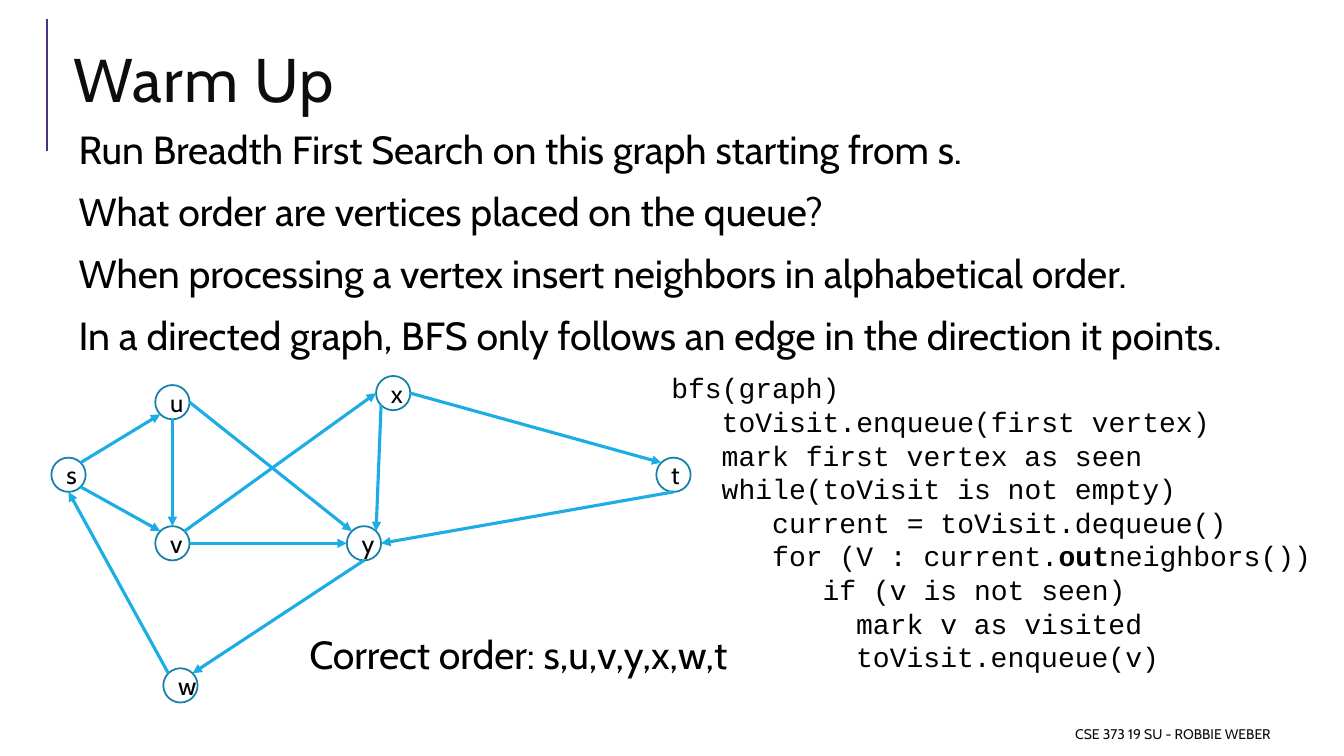
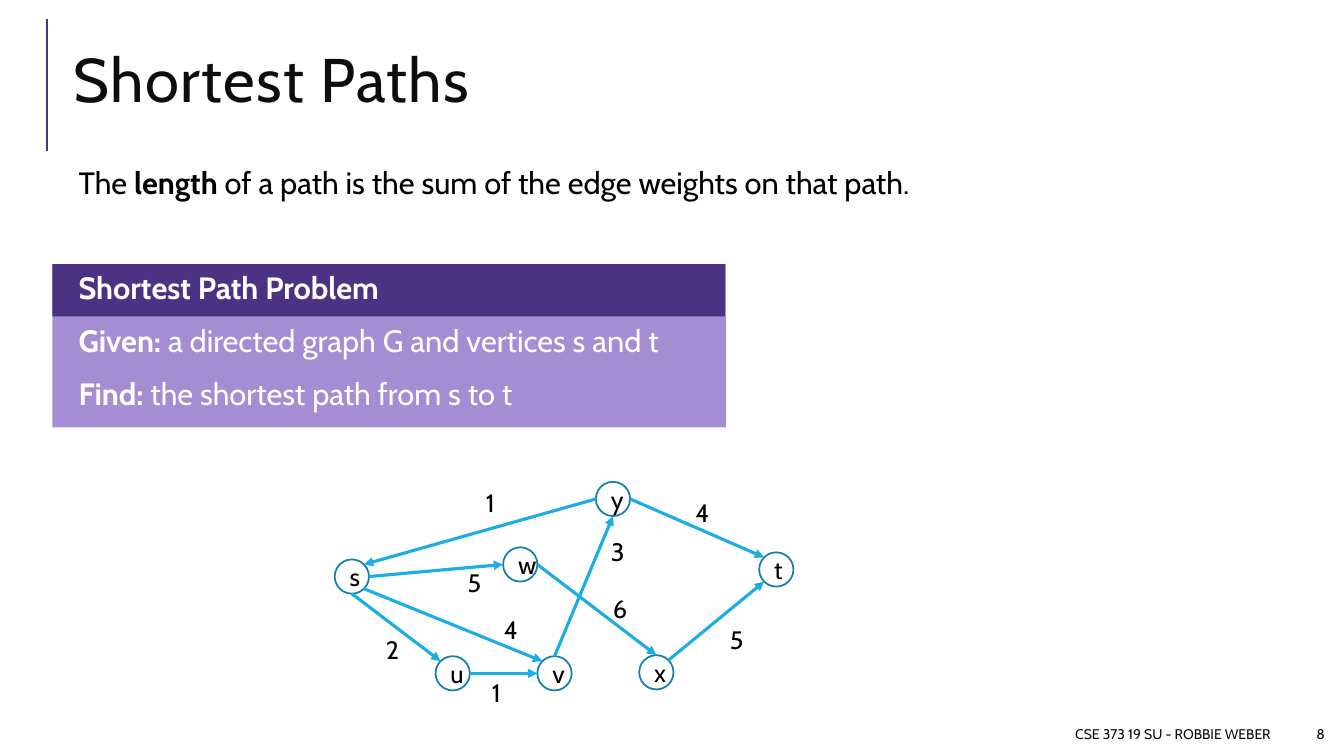
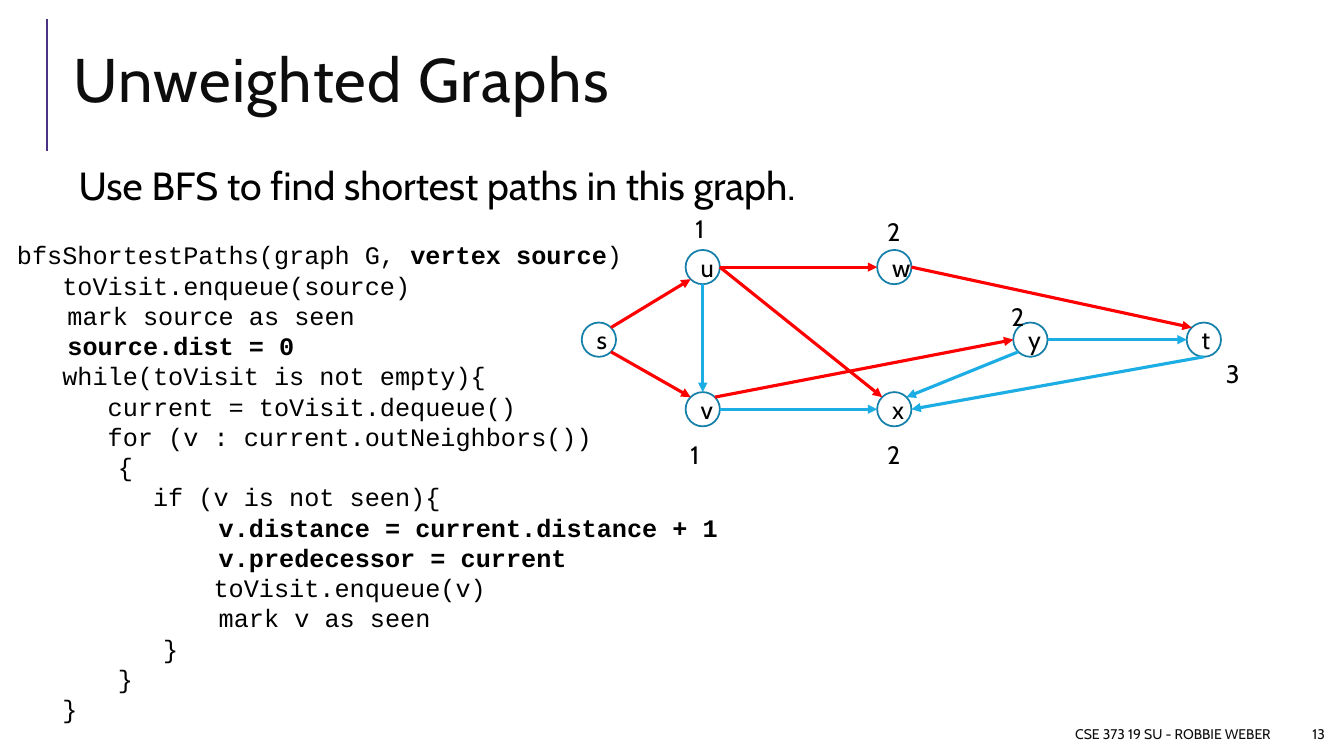
from dataclasses import dataclass
from math import cos, radians, sin

from lxml.etree import SubElement
from pptx import Presentation
from pptx.dml.color import RGBColor
from pptx.enum.shapes import MSO_CONNECTOR, MSO_SHAPE
from pptx.enum.text import MSO_ANCHOR, PP_ALIGN
from pptx.oxml.ns import qn
from pptx.util import Emu, Pt

EMU_PER_PX = 9144  # 100 px to the inch


@dataclass(frozen=True)
class Theme:
    purple: str = "4C3282"
    lilac: str = "A48DD3"
    blue: str = "1CADE4"
    outline: str = "1580A9"
    red: str = "FF0000"
    ink: str = "0D0D0D"
    black: str = "000000"
    white: str = "FFFFFF"
    font: str = "Cabin"
    code_font: str = "Courier New"
    title_size: int = 44
    body_size: int = 28
    small_body_size: int = 22
    label_size: int = 18
    footer_size: int = 10


THEME = Theme()
NODE = 34  # vertex diameter
TAB = 50  # distance between tab stops in code
COMPASS = {name: radians(45 * step) for step, name in
           enumerate(("E", "SE", "S", "SW", "W", "NW", "N", "NE"))}


def px(length):
    return Emu(round(length * EMU_PER_PX))


def color(value):
    return RGBColor.from_string(value)


# Basic parts
def add_runs(paragraph, text, size, ink=THEME.black, font=THEME.font):
    """Add text run by run; parts between double asterisks are bold."""
    runs = []
    for index, part in enumerate(text.split("**")):
        if part:
            run = paragraph.add_run()
            run.text = part
            run.font.name = font
            run.font.size = Pt(size)
            run.font.bold = index % 2 == 1
            run.font.color.rgb = color(ink)
            runs.append(run)
    return runs


def add_text_frame(slide, left, top, width, height, anchor=MSO_ANCHOR.TOP):
    shape = slide.shapes.add_textbox(px(left), px(top), px(width), px(height))
    frame = shape.text_frame
    frame.word_wrap = True
    frame.vertical_anchor = anchor
    return frame


def add_paragraphs(frame, lines):
    """Yield a paragraph for each line, starting with the one already there."""
    for index, line in enumerate(lines):
        yield (frame.add_paragraph() if index else frame.paragraphs[0]), line


def add_panel(slide, left, top, width, height, fill):
    shape = slide.shapes.add_shape(
        MSO_SHAPE.RECTANGLE, px(left), px(top), px(width), px(height))
    shape.shadow.inherit = False
    shape.fill.solid()
    shape.fill.fore_color.rgb = color(fill)
    shape.line.fill.background()


def add_line(slide, start, end, ink, width, arrow=False):
    points = [px(value) for value in (*start, *end)]
    connector = slide.shapes.add_connector(MSO_CONNECTOR.STRAIGHT, *points)
    connector.line.color.rgb = color(ink)
    connector.line.width = Pt(width)
    properties = connector._element.spPr
    if arrow:
        SubElement(properties.find(qn("a:ln")), qn("a:tailEnd"), type="triangle")
    SubElement(properties, qn("a:effectLst"))


# Slide regions
def add_frame(slide, title, number=None):
    """Accent line, title, footer and page number."""
    add_line(slide, (47, 150), (47, 19), THEME.purple, 1.5)
    paragraph = add_text_frame(
        slide, 63, 29, 1223, 111, MSO_ANCHOR.MIDDLE).paragraphs[0]
    paragraph.line_spacing = 0.8
    for run in add_runs(paragraph, title, THEME.title_size, THEME.ink):
        run.font._element.set("spc", "100")

    footers = [("CSE 373 19 SU - ROBBIE WEBER", 625, 645)]
    if number:
        footers.append((str(number), 1278, 46))
    for text, left, width in footers:
        paragraph = add_text_frame(
            slide, left, 713, width, 30, MSO_ANCHOR.MIDDLE).paragraphs[0]
        paragraph.alignment = PP_ALIGN.RIGHT
        add_runs(paragraph, text, THEME.footer_size, THEME.ink)


def add_body(slide, left, top, width, height, lines,
             size=THEME.body_size, ink=THEME.black):
    frame = add_text_frame(slide, left, top, width, height)
    frame.margin_left = px(15)
    frame.margin_right = frame.margin_top = frame.margin_bottom = px(5)
    for paragraph, line in add_paragraphs(frame, lines):
        paragraph.line_spacing = 0.9
        paragraph.space_before = Pt(12 if line is not lines[0] else 0)
        paragraph.space_after = Pt(2)
        add_runs(paragraph, line, size, ink)


def add_code(slide, left, top, width, height, code, size):
    frame = add_text_frame(slide, left, top, width, height)
    for paragraph, line in add_paragraphs(frame, code):
        tab_stops = SubElement(paragraph._p.get_or_add_pPr(), qn("a:tabLst"))
        for stop in range(1, 5):
            SubElement(tab_stops, qn("a:tab"), pos=str(px(TAB * stop)), algn="l")
        add_runs(paragraph, line, size, font=THEME.code_font)


def add_problem(slide, left, top, width, height, lines):
    """Lilac panel with a purple heading band."""
    add_panel(slide, left, top, width, height, THEME.lilac)
    add_panel(slide, left, top, width - 1, 52, THEME.purple)
    add_body(slide, left + 11, top + 4, width - 11, height - 4, lines,
             THEME.small_body_size, THEME.white)


def add_graph(slide, left, top, vertices, edges, tree_edges=(), labels=()):
    """Draw a directed graph; every place is relative to left and top.

    An edge reads "from side to side", with compass points for the sides.
    """
    for name, (x, y) in vertices.items():
        shape = slide.shapes.add_shape(
            MSO_SHAPE.OVAL, px(left + x), px(top + y), px(NODE), px(NODE))
        shape.shadow.inherit = False
        shape.fill.background()
        shape.line.color.rgb = color(THEME.outline)
        shape.line.width = Pt(1.25)
        shape.text_frame.vertical_anchor = MSO_ANCHOR.MIDDLE
        paragraph = shape.text_frame.paragraphs[0]
        paragraph.alignment = PP_ALIGN.CENTER
        add_runs(paragraph, name, THEME.label_size)

    def rim(name, side):
        x, y = vertices[name]
        radius = NODE / 2
        return (left + x + radius * (1 + cos(COMPASS[side])),
                top + y + radius * (1 + sin(COMPASS[side])))

    for group, ink in ((edges, THEME.blue), (tree_edges, THEME.red)):
        for edge in group:
            source, exit_side, target, entry_side = edge.split()
            add_line(slide, rim(source, exit_side), rim(target, entry_side),
                     ink, 2.25, arrow=True)

    for text, x, y in labels:
        frame = add_text_frame(slide, left + x, top + y, 34, 40)
        add_runs(frame.paragraphs[0], text, THEME.label_size)


# Slides
def build_warm_up(slide):
    add_frame(slide, "Warm Up")
    add_body(slide, 63, 125, 1223, 196, [
        "Run Breadth First Search on this graph starting from s.",
        "What order are vertices placed on the queue?",
        "When processing a vertex insert neighbors in alphabetical order.",
        "In a directed graph, BFS only follows an edge in the direction it points.",
    ])
    add_graph(
        slide, 51, 373,
        {"s": (0, 81), "t": (600, 81), "v": (103, 149), "u": (103, 9),
         "x": (322, 0), "w": (111, 290), "y": (293, 149)},
        ["s NE u SW", "u S v N", "s SE v NW", "u E y NW", "v E y W",
         "v NE x W", "w NW s S", "y S w NE", "x E t NW", "x SW y NE",
         "t S y E"])
    answer = add_text_frame(slide, 297, 620, 484, 57)
    add_runs(answer.paragraphs[0], "Correct order: s,u,v,y,x,w,t", THEME.body_size)
    add_code(slide, 656, 363, 660, 347, [
        "bfs(graph)",
        "   toVisit.enqueue(first vertex)",
        "\tmark first vertex as seen",
        "   while(toVisit is not empty)",
        "      current = toVisit.dequeue()",
        "      for (V : current.**out**neighbors())",
        "         if (v is not seen)",
        "\t\t\t  mark v as visited",
        "\t\t\t  toVisit.enqueue(v)",
    ], 20)


def build_shortest_paths(slide):
    add_frame(slide, "Shortest Paths", 8)
    add_body(slide, 63, 162, 1223, 50, [
        "The **length** of a path is the sum of the edge weights on that path.",
    ], THEME.small_body_size)
    add_problem(slide, 52, 262, 668, 162, [
        "**Shortest Path Problem**",
        "**Given: **a directed graph G and vertices s and t",
        "**Find:** the shortest path from s to t",
    ])
    add_graph(
        slide, 332, 478,
        {"s": (0, 77), "w": (167, 65), "y": (259, 0), "u": (100, 173),
         "t": (421, 70), "v": (201, 173), "x": (302, 172)},
        ["s E w W", "s SE v NW", "s S u NW", "u E v W", "y W s NE",
         "w E x N", "v N y S", "y E t NW", "x NE t SW"],
        labels=[("1", 140, 1), ("4", 348, 10), ("1", 146, 189),
                ("5", 122, 80), ("4", 158, 127), ("2", 41, 146),
                ("5", 382, 136), ("6", 266, 106), ("3", 264, 49)])


def build_unweighted_graphs(slide):
    add_frame(slide, "Unweighted Graphs", 13)
    add_body(slide, 63, 160, 1223, 61,
             ["Use BFS to find shortest paths in this graph."])
    add_graph(
        slide, 577, 207,
        {"s": (0, 113), "t": (600, 113), "v": (103, 182), "u": (103, 41),
         "y": (428, 113), "w": (293, 41), "x": (293, 182)},
        ["u S v N", "v E x W", "y E t W", "y SW x NE", "t S x E"],
        ["s NE u SW", "s SE v NW", "u E x NW", "v NE y W", "u E w W",
         "w E t NW"],
        [("1", 103, 0), ("1", 98, 224), ("2", 293, 3), ("2", 293, 224),
         ("2", 416, 87), ("3", 629, 144)])
    add_code(slide, 7, 233, 819, 510, [
        "bfsShortestPaths(graph G, **vertex source**)",
        "   toVisit.enqueue(source)",
        "\tmark source as seen",
        "\t**source.dist = 0**",
        "   while(toVisit is not empty){",
        "      current = toVisit.dequeue()",
        "      for (v : current.outNeighbors())",
        "\t\t{",
        "         if (v is not seen){",
        "**\t\t\t\tv.distance = current.distance + 1**",
        "**\t\t\t\tv.predecessor = current**",
        "             toVisit.enqueue(v)",
        "\t\t\t\tmark v as seen",
        "\t\t   }",
        "\t\t}",
        "   }",
    ], 18)


def main():
    presentation = Presentation()
    presentation.slide_width = px(1333)
    presentation.slide_height = px(750)
    blank = presentation.slide_layouts[6]
    for build in (build_warm_up, build_shortest_paths, build_unweighted_graphs):
        build(presentation.slides.add_slide(blank))
    presentation.save("out.pptx")


if __name__ == "__main__":
    main()
